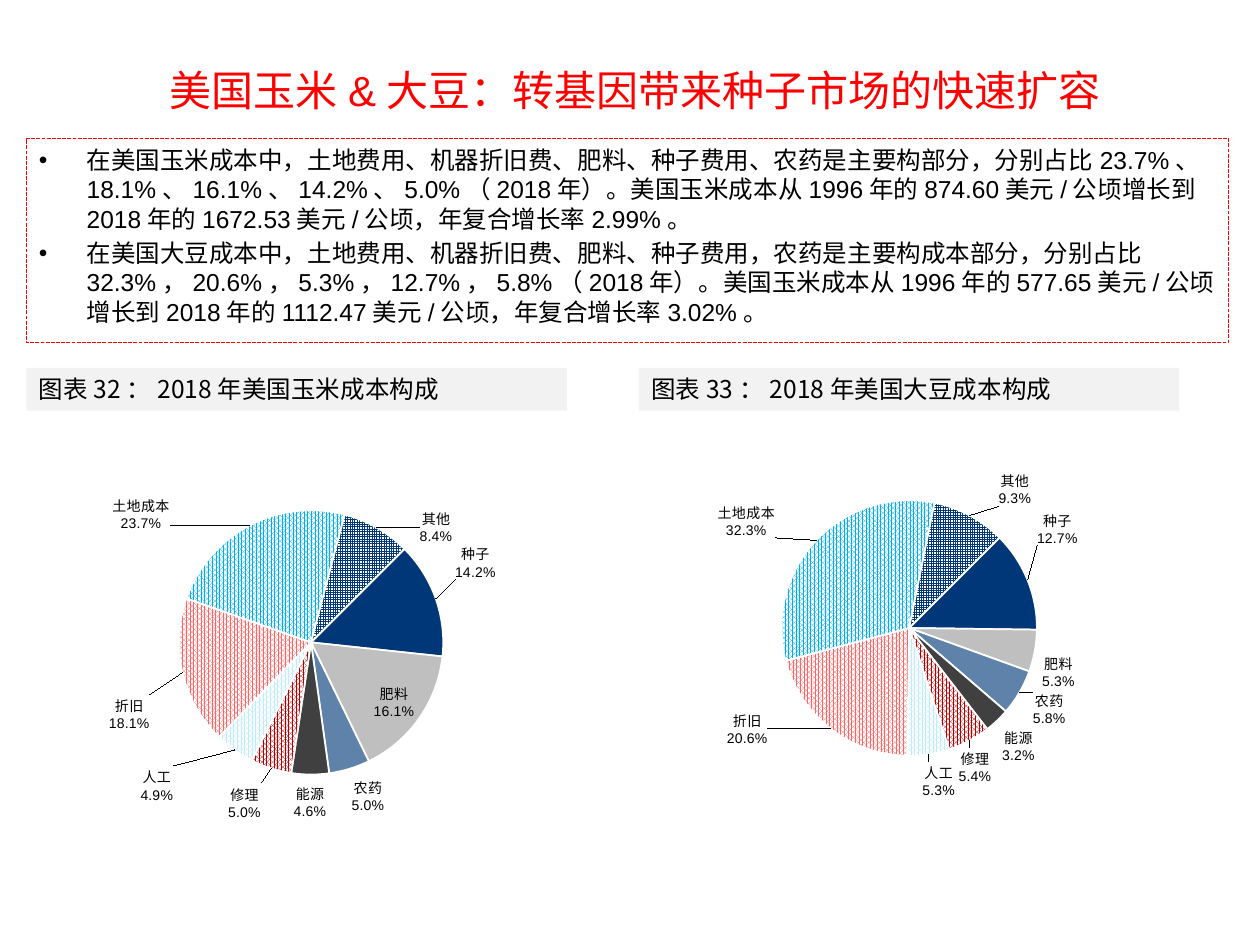
import copy

import lxml.etree
import pptx
import pptx.chart.data
import pptx.dml.color
import pptx.enum.chart
import pptx.enum.dml
import pptx.enum.shapes
import pptx.enum.text
import pptx.oxml
import pptx.oxml.ns
import pptx.util

Inches = pptx.util.Inches
Pt = pptx.util.Pt
qn = pptx.oxml.ns.qn

COLORS = {
    "red": "FF0000", "black": "000000", "white": "FFFFFF", "band": "F2F2F2",
    "navy": "003778", "silver": "BFBFBF", "steel": "5F82AA", "charcoal": "404040",
    "crimson": "B40000", "ice": "BFEBFB", "coral": "FF6464", "sky": "00AEEF",
}
HEADING_FONT = "Noto Sans CJK SC"

TITLE = "美国玉米&大豆：转基因带来种子市场的快速扩容"
FINDINGS = [
    "在美国玉米成本中，土地费用、机器折旧费、肥料、种子费用、农药是主要构部分，分别占比23.7%、18.1%、16.1%、14.2%、5.0%（2018年）。"
    "美国玉米成本从1996年的874.60美元/公顷增长到2018年的1672.53美元/公顷，年复合增长率2.99%。",
    "在美国大豆成本中，土地费用、机器折旧费、肥料、种子费用，农药是主要构成本部分，分别占比32.3%，20.6%，5.3%，12.7%，5.8%（2018年）。"
    "美国玉米成本从1996年的577.65美元/公顷增长到2018年的1112.47美元/公顷，年复合增长率3.02%。",
]
CATEGORIES = ["种子", "肥料", "农药", "能源", "修理", "人工", "折旧", "土地成本", "其他"]

# One entry per slice: colour and pattern (None is solid)
DENSE = pptx.enum.dml.MSO_PATTERN.PERCENT_80
GRID = pptx.enum.dml.MSO_PATTERN.SMALL_GRID
SLICES = [
    ("navy", None), ("silver", None), ("steel", None), ("charcoal", None),
    ("crimson", DENSE), ("ice", DENSE), ("coral", DENSE), ("sky", DENSE), ("navy", GRID),
]

# Lengths in inches; "moved" gives the shift of a label by slice number
PIES = [
    {
        "heading": "图表32：2018年美国玉米成本构成", "heading_left": 0.21,
        "box": (0.41, 3.63, 4.09, 3.02), "plot": (1.01, 0.42, 2.1),
        "values": [14.2, 16.1, 5, 4.6, 5, 4.9, 18.1, 23.7, 8.4],
        "moved": {0: (0.1, -0.13), 4: (-0.06, 0.06), 5: (-0.45, 0.08),
                  6: (-0.2, 0.16), 7: (-0.6, 0.1), 8: (0.31, 0.18)},
    },
    {
        "heading": "图表33：2018年美国大豆成本构成", "heading_left": 5.07,
        "box": (5.11, 3.55, 4.2, 2.94), "plot": (1.09, 0.42, 2.03),
        "values": [12.7, 5.3, 5.8, 3.2, 5.4, 5.3, 20.6, 32.3, 9.3],
        "moved": {0: (0.02, -0.25), 6: (-0.46, -0.2), 7: (-0.28, 0.02), 8: (0.2, -0.02)},
    },
]


def rgb(name):
    return pptx.dml.color.RGBColor.from_string(COLORS[name])


def apply_font(font, size, color="black", name="Arial"):
    for attribute, value in {"size": Pt(size), "name": name, "bold": False}.items():
        setattr(font, attribute, value)
    font.color.rgb = rgb(color)


def add_title(slide):
    box = slide.shapes.add_textbox(Inches(0.73), Inches(0.41), Inches(8.62), Inches(0.6))
    frame = box.text_frame
    frame.word_wrap = True
    frame.vertical_anchor = pptx.enum.text.MSO_ANCHOR.MIDDLE
    paragraph = frame.paragraphs[0]
    paragraph.text = TITLE
    paragraph.alignment = pptx.enum.text.PP_ALIGN.CENTER
    apply_font(paragraph.runs[0].font, 24, "red")


def add_panel(slide, left, top, width, height):
    panel = slide.shapes.add_shape(
        pptx.enum.shapes.MSO_SHAPE.RECTANGLE,
        Inches(left), Inches(top), Inches(width), Inches(height))
    panel.shadow.inherit = False
    panel.text_frame.word_wrap = True
    panel.text_frame.vertical_anchor = pptx.enum.text.MSO_ANCHOR.TOP
    return panel


def add_findings(slide):
    panel = add_panel(slide, 0.21, 1.1, 9.54, 1.62)
    panel.fill.background()
    panel.line.color.rgb = rgb("red")
    panel.line.width = Pt(0.75)
    panel.line.dash_style = pptx.enum.dml.MSO_LINE.SQUARE_DOT
    frame = panel.text_frame
    for number, finding in enumerate(FINDINGS):
        paragraph = frame.add_paragraph() if number else frame.paragraphs[0]
        paragraph.text = finding
        paragraph.alignment = pptx.enum.text.PP_ALIGN.LEFT
        if number:
            paragraph.space_before = Pt(2.8)
        properties = paragraph._p.get_or_add_pPr()
        properties.set("marL", str(Inches(0.38)))
        properties.set("indent", str(-Inches(0.38)))
        lxml.etree.SubElement(properties, qn("a:buFont"), typeface="Arial")
        lxml.etree.SubElement(properties, qn("a:buChar"), char="•")
        apply_font(paragraph.runs[0].font, 14)


def add_heading(slide, text, left):
    panel = add_panel(slide, left, 2.92, 4.29, 0.34)
    panel.fill.solid()
    panel.fill.fore_color.rgb = rgb("band")
    panel.line.fill.background()
    paragraph = panel.text_frame.paragraphs[0]
    paragraph.text = text
    paragraph.alignment = pptx.enum.text.PP_ALIGN.LEFT
    apply_font(paragraph.runs[0].font, 14, name=HEADING_FONT)


def make_layout(**settings):
    layout = pptx.oxml.parse_xml(
        '<c:layout xmlns:c="http://schemas.openxmlformats.org/drawingml/2006/chart"/>')
    manual = lxml.etree.SubElement(layout, qn("c:manualLayout"))
    for name, value in settings.items():
        text = value if isinstance(value, str) else f"{value:.3f}"
        lxml.etree.SubElement(manual, qn("c:" + name), val=text)
    return layout


def style_slices(series):
    for number, (color, pattern) in enumerate(SLICES):
        slice_format = series.points[number].format
        fill = slice_format.fill
        if pattern is None:
            fill.solid()
        else:
            fill.patterned()
            fill.pattern = pattern
            fill.back_color.rgb = rgb("white")
        fill.fore_color.rgb = rgb(color)
        slice_format.line.color.rgb = rgb("white")
        slice_format.line.width = Pt(1)


def label_slices(series, moved, width, height):
    labels = series.data_labels
    settings = {
        "show_percentage": True, "show_category_name": True, "show_value": False,
        "number_format": "0.0%", "number_format_is_linked": False,
        "position": pptx.enum.chart.XL_LABEL_POSITION.BEST_FIT,
    }
    for attribute, value in settings.items():
        setattr(labels, attribute, value)
    apply_font(labels.font, 8)

    # Category and percentage stand on two lines
    element = labels._element
    separator = lxml.etree.Element(qn("c:separator"))
    separator.text = "\n"
    element.find(qn("c:showBubbleSize")).addnext(separator)

    # Moved labels share the common format and add an offset
    common = [child for child in element if child.tag != qn("c:showLeaderLines")]
    for position, (number, (right, down)) in enumerate(moved.items()):
        label = lxml.etree.Element(qn("c:dLbl"))
        lxml.etree.SubElement(label, qn("c:idx"), val=str(number))
        label.append(make_layout(x=right / width, y=down / height))
        label.extend([copy.deepcopy(child) for child in common])
        element.insert(position, label)


def add_pie(slide, pie):
    left, top, width, height = pie["box"]
    data = pptx.chart.data.CategoryChartData()
    data.categories = CATEGORIES
    data.add_series("Series 1", pie["values"])
    chart = slide.shapes.add_chart(
        pptx.enum.chart.XL_CHART_TYPE.PIE,
        Inches(left), Inches(top), Inches(width), Inches(height), data).chart
    chart.has_legend = False
    chart.has_title = False
    apply_font(chart.font, 10)
    plot = chart.plots[0]
    plot.vary_by_categories = True
    series = plot.series[0]
    style_slices(series)
    label_slices(series, pie["moved"], width, height)

    # First slice angle and the place of the pie
    angle = plot._element.find(qn("c:firstSliceAng"))
    if angle is None:
        angle = lxml.etree.SubElement(plot._element, qn("c:firstSliceAng"))
    angle.set("val", "45")
    area = plot._element.getparent()
    for old in area.findall(qn("c:layout")):
        area.remove(old)
    x, y, diameter = pie["plot"]
    area.insert(0, make_layout(
        layoutTarget="inner", xMode="edge", yMode="edge", x=x / width, y=y / height,
        w=diameter / width, h=diameter / height))


def main():
    presentation = pptx.Presentation()
    presentation.slide_width = Inches(10)
    presentation.slide_height = Inches(7.5)
    slide = presentation.slides.add_slide(presentation.slide_layouts[6])
    add_findings(slide)
    add_title(slide)
    for pie in PIES:
        add_heading(slide, pie["heading"], pie["heading_left"])
        add_pie(slide, pie)
    presentation.save("out.pptx")


if __name__ == "__main__":
    main()
